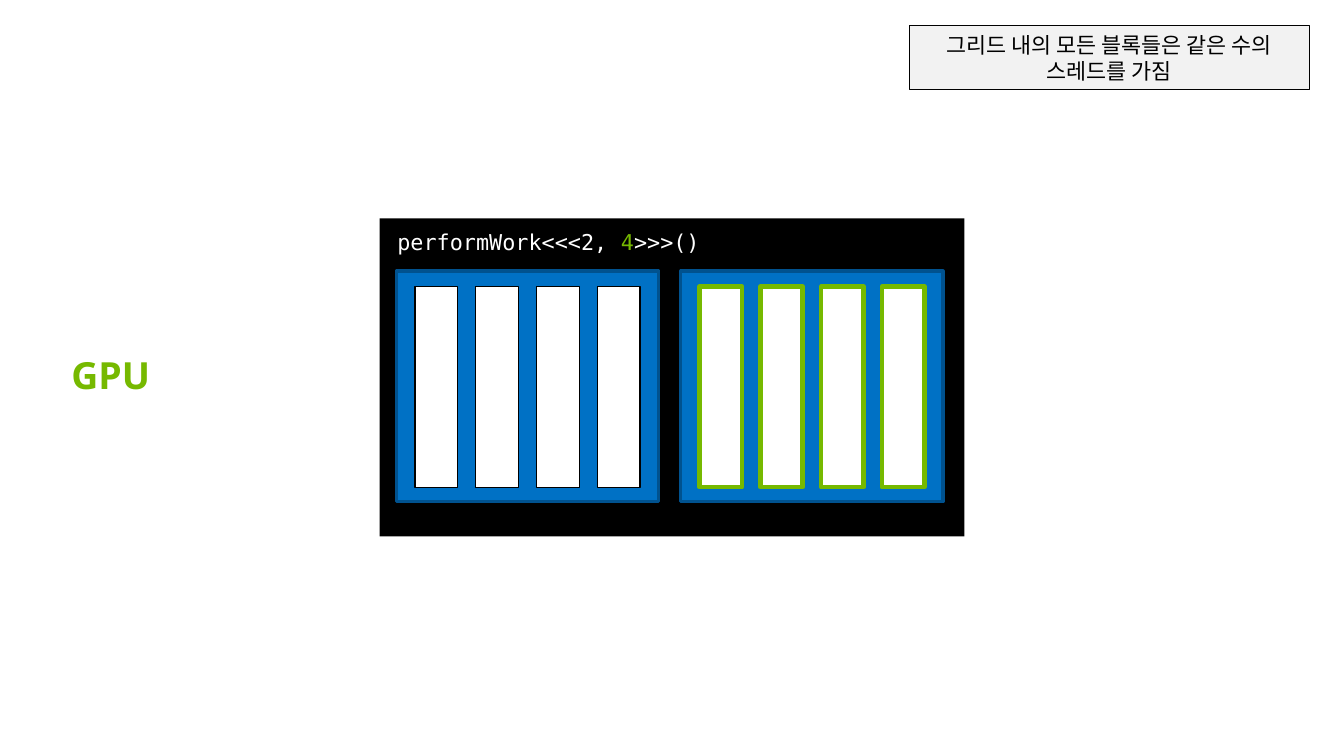
from dataclasses import dataclass
from typing import Optional

from pptx import Presentation
from pptx.dml.color import RGBColor
from pptx.enum.shapes import MSO_SHAPE
from pptx.enum.text import MSO_ANCHOR, PP_ALIGN
from pptx.shapes.autoshape import Shape
from pptx.slide import Slide
from pptx.util import Pt


@dataclass(frozen=True)
class Theme:
    black: str = "000000"
    white: str = "FFFFFF"
    green: str = "76B900"
    blue: str = "0071C5"
    navy: str = "00528F"
    grey: str = "F2F2F2"
    code_font: str = "DejaVu Sans Mono"
    heading_font: str = "Noto Sans"
    note_font: str = "Arial"
    body_size: float = 14
    heading_size: float = 24


@dataclass(frozen=True)
class Box:
    left: float
    top: float
    width: float
    height: float


@dataclass(frozen=True)
class Outline:
    color: str
    width: float


@dataclass(frozen=True)
class Words:
    text: str
    color: str


@dataclass(frozen=True)
class TextStyle:
    font: str
    size: float
    bold: bool = False
    align: PP_ALIGN = PP_ALIGN.LEFT
    anchor: MSO_ANCHOR = MSO_ANCHOR.TOP
    line_spacing: Optional[float] = None


@dataclass(frozen=True)
class Block:
    left: float
    thread_outline: Outline


THEME = Theme()
BLOCK_TOP, BLOCK_WIDTH, BLOCK_HEIGHT = 174.24, 168.48, 148.32
THREAD_TOP, THREAD_WIDTH, THREAD_HEIGHT = 184.32, 27.36, 128.88
THREAD_INSET, THREAD_PITCH, THREADS_PER_BLOCK = 11.9, 39.1, 4
BLOCKS = [
    Block(254.88, Outline(THEME.black, 0.75)),
    Block(437.76, Outline(THEME.green, 3)),
]


def add_box(slide: Slide, box: Box, fill: str, outline: Optional[Outline] = None) -> Shape:
    rectangle = slide.shapes.add_shape(
        MSO_SHAPE.RECTANGLE, Pt(box.left), Pt(box.top), Pt(box.width), Pt(box.height)
    )
    rectangle.shadow.inherit = False
    rectangle.fill.solid()
    rectangle.fill.fore_color.rgb = RGBColor.from_string(fill)
    if outline is None:
        rectangle.line.fill.background()
    else:
        rectangle.line.color.rgb = RGBColor.from_string(outline.color)
        rectangle.line.width = Pt(outline.width)
    return rectangle


def write(holder: Shape, phrases: list[Words], style: TextStyle) -> None:
    frame = holder.text_frame
    frame.word_wrap = True
    frame.vertical_anchor = style.anchor
    paragraph = frame.paragraphs[0]
    paragraph.alignment = style.align
    paragraph.line_spacing = style.line_spacing
    for phrase in phrases:
        run = paragraph.add_run()
        run.text = phrase.text
        run.font.name = style.font
        run.font.size = Pt(style.size)
        run.font.bold = style.bold
        run.font.color.rgb = RGBColor.from_string(phrase.color)


def add_block(slide: Slide, block: Block) -> None:
    add_box(
        slide,
        Box(block.left, BLOCK_TOP, BLOCK_WIDTH, BLOCK_HEIGHT),
        THEME.blue,
        Outline(THEME.navy, 2),
    )
    for index in range(THREADS_PER_BLOCK):
        thread_left = block.left + THREAD_INSET + index * THREAD_PITCH
        thread = Box(thread_left, THREAD_TOP, THREAD_WIDTH, THREAD_HEIGHT)
        add_box(slide, thread, THEME.white, block.thread_outline)


def main() -> None:
    deck = Presentation()
    deck.slide_width, deck.slide_height = Pt(864), Pt(486)
    slide = deck.slides.add_slide(deck.slide_layouts[6])

    add_box(slide, Box(244.08, 140.4, 375.84, 204.48), THEME.black)
    kernel_call = add_box(slide, Box(248.4, 143.28, 220.32, 24.48), THEME.black)
    write(
        kernel_call,
        [
            Words("performWork<<<2, ", THEME.white),
            Words("4", THEME.green),
            Words(">>>()", THEME.white),
        ],
        TextStyle(THEME.code_font, THEME.body_size, anchor=MSO_ANCHOR.MIDDLE),
    )
    for block in BLOCKS:
        add_block(slide, block)

    gpu = slide.shapes.add_textbox(Pt(38.88), Pt(226.08), Pt(69.84), Pt(33.12))
    write(
        gpu,
        [Words("GPU", THEME.green)],
        TextStyle(
            THEME.heading_font,
            THEME.heading_size,
            bold=True,
            anchor=MSO_ANCHOR.BOTTOM,
            line_spacing=0.9,
        ),
    )

    note = add_box(
        slide, Box(584.64, 16.56, 257.04, 41.04), THEME.grey, Outline(THEME.black, 0.75)
    )
    write(
        note,
        [Words("그리드 내의 모든 블록들은 같은 수의 스레드를 가짐", THEME.black)],
        TextStyle(THEME.note_font, THEME.body_size, align=PP_ALIGN.CENTER),
    )

    deck.save("out.pptx")


main()
